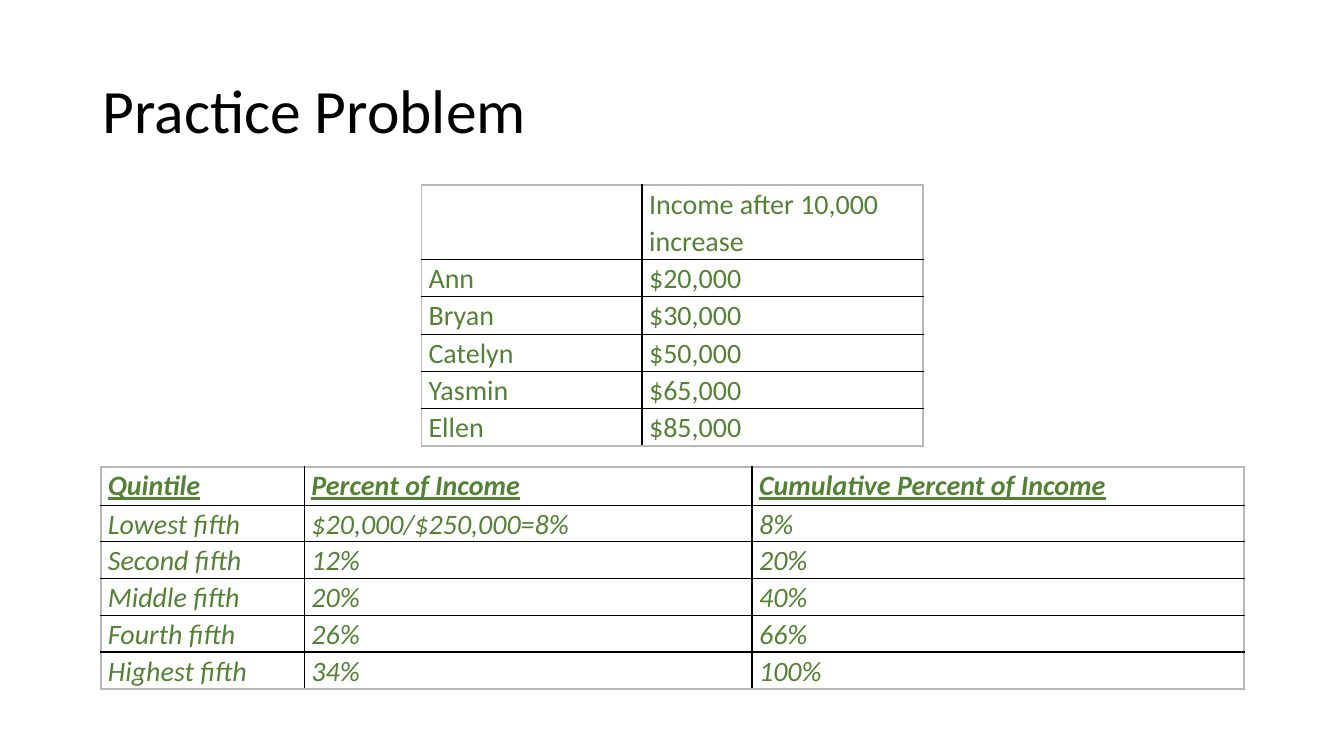
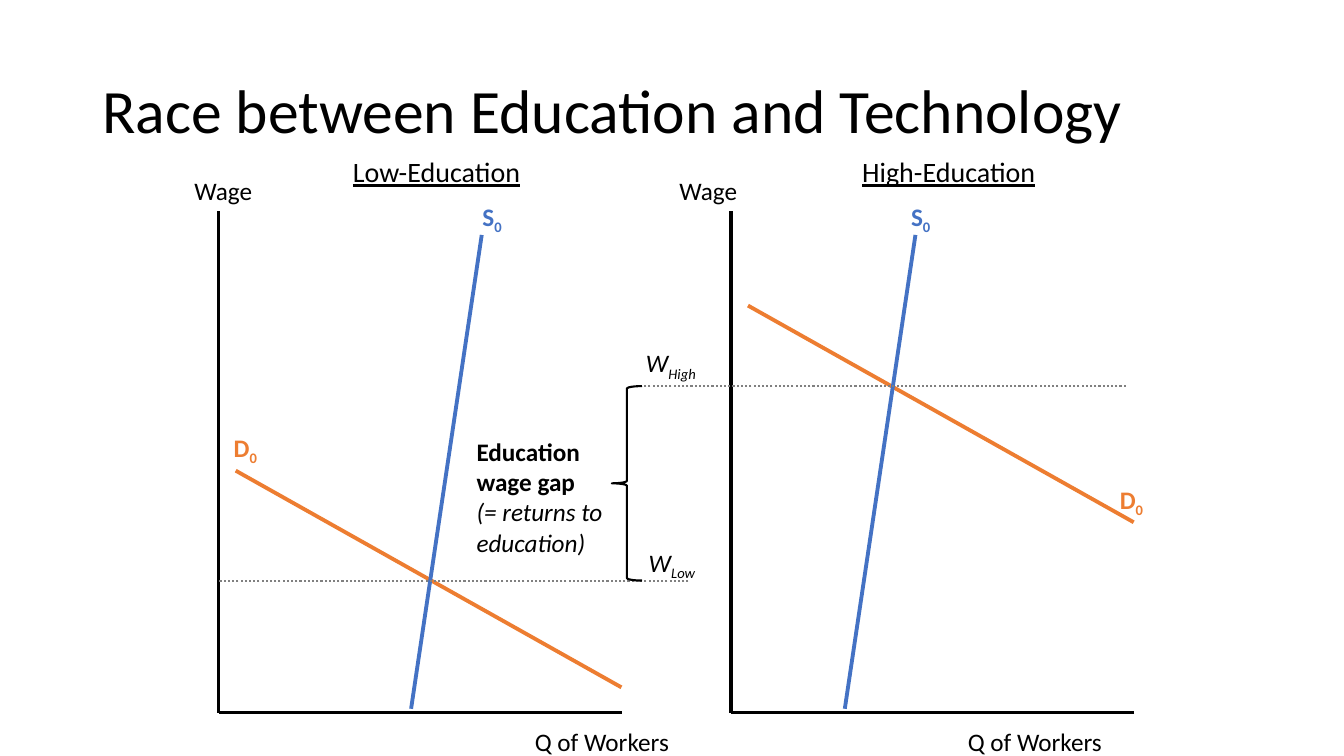
from lxml.etree import SubElement
from pptx import Presentation
from pptx.dml.color import RGBColor
from pptx.enum.dml import MSO_LINE
from pptx.enum.shapes import MSO_CONNECTOR, MSO_SHAPE
from pptx.enum.text import MSO_ANCHOR, MSO_AUTO_SIZE, PP_ALIGN
from pptx.oxml import parse_xml
from pptx.oxml.ns import nsdecls, qn
from pptx.util import Cm, Pt

BLACK = RGBColor(0x00, 0x00, 0x00)
GREEN = RGBColor(0x54, 0x82, 0x35)
ORANGE = RGBColor(0xED, 0x7D, 0x31)
BLUE = RGBColor(0x44, 0x72, 0xC4)
GRAY = RGBColor(0x80, 0x80, 0x80)
FRAME = RGBColor(0xB8, 0xB8, 0xB8)
FONT = "Calibri"
TITLE_ONLY = 5

INCOMES = [
    ("", "Income after 10,000 increase"),
    ("Ann", "$20,000"),
    ("Bryan", "$30,000"),
    ("Catelyn", "$50,000"),
    ("Yasmin", "$65,000"),
    ("Ellen", "$85,000"),
]
QUINTILES = [
    ("Quintile", "Percent of Income", "Cumulative Percent of Income"),
    ("Lowest fifth", "$20,000/$250,000=8%", "8%"),
    ("Second fifth", "12%", "20%"),
    ("Middle fifth", "20%", "40%"),
    ("Fourth fifth", "26%", "66%"),
    ("Highest fifth", "34%", "100%"),
]


def write(paragraph, text, size=18, color=BLACK, subscript="", bold=False,
          italic=False, underline=False, align=PP_ALIGN.LEFT, spacing=None):
    """Fill a paragraph with text and an optional subscript in one style."""
    font = paragraph.font
    font.name, font.size = FONT, Pt(size)
    font.bold, font.italic, font.underline = bold, italic, underline
    paragraph.alignment = align
    if spacing:
        paragraph.line_spacing = spacing
    for part in filter(None, (text, subscript)):
        run = paragraph.add_run()
        run.text = part
        run.font.color.rgb = color
    if subscript:
        run._r.get_or_add_rPr().set("baseline", "-25000")


def add_titled_slide(deck, title):
    """Add a slide with the shared title style."""
    slide = deck.slides.add_slide(deck.slide_layouts[TITLE_ONLY])
    heading = slide.shapes.title
    heading.left, heading.top = Cm(2.33), Cm(1.01)
    heading.width, heading.height = Cm(29.21), Cm(3.68)
    frame = heading.text_frame
    frame.word_wrap = True
    frame.auto_size = MSO_AUTO_SIZE.NONE
    frame.vertical_anchor = MSO_ANCHOR.MIDDLE
    write(frame.paragraphs[0], title, 44, spacing=0.9)
    return slide


def add_label(slide, left, top, width, text, height=1.02, **style):
    """Add a text box and return its frame."""
    box = slide.shapes.add_textbox(Cm(left), Cm(top), Cm(width), Cm(height))
    frame = box.text_frame
    frame.word_wrap = True
    write(frame.paragraphs[0], text, **style)
    return frame


def add_line(slide, start, end, color, width, dash=None):
    """Draw a straight line between two points."""
    line = slide.shapes.add_connector(
        MSO_CONNECTOR.STRAIGHT, *map(Cm, start), *map(Cm, end))
    line.line.color.rgb = color
    line.line.width = Pt(width)
    if dash:
        line.line.dash_style = dash
    SubElement(line._element.spPr, qn("a:effectLst"))


def set_borders(cell, outer_sides):
    """Draw cell edges, gray and thicker along the table frame."""
    for index, side in enumerate("LRTB"):
        color, width = (FRAME, 1.5) if side in outer_sides else (BLACK, 1)
        edge = parse_xml(
            f'<a:ln{side} {nsdecls("a")} w="{Pt(width)}"><a:solidFill>'
            f'<a:srgbClr val="{color}"/></a:solidFill></a:ln{side}>')
        cell._tc.get_or_add_tcPr().insert(index, edge)


def add_grid(slide, left, top, widths, heights, rows, header_style, body_style):
    """Add a bordered table of green text."""
    table = slide.shapes.add_table(
        len(rows), len(widths), Cm(left), Cm(top),
        Cm(sum(widths)), Cm(sum(heights))).table
    table.first_row = table.horz_banding = False
    for column, width in zip(table.columns, widths):
        column.width = Cm(width)
    for r, values in enumerate(rows):
        table.rows[r].height = Cm(heights[r])
        for c, value in enumerate(values):
            cell = table.cell(r, c)
            cell.margin_left = cell.margin_right = Cm(0.18)
            cell.margin_top = cell.margin_bottom = 0
            cell.fill.background()
            on_frame = {"L": c == 0, "R": c == len(widths) - 1,
                        "T": r == 0, "B": r == len(rows) - 1}
            set_borders(cell, [side for side, hit in on_frame.items() if hit])
            style = body_style if r else header_style
            write(cell.text_frame.paragraphs[0], value, 20, GREEN,
                  spacing=1.07, **style)


def add_market(slide, left, top, name, wage_x, quantity_x, demand_y,
               demand_label, supply_x, supply_label_x):
    """Draw one labor market, placed by the top of its wage axis."""
    width, height = 10.16, 12.64

    def at(x, y):
        return left + x, top + y

    add_line(slide, at(0, 0), at(0, height), BLACK, 2.5)
    add_line(slide, at(width, height), at(0, height), BLACK, 2.5)
    add_label(slide, *at(wage_x, -1.03), 2.54, "Wage")
    add_label(slide, *at(quantity_x, 12.87), 4.86, "Q of Workers")
    add_label(slide, *at(0.41, -1.54), width, name, 1.12, size=20,
              underline=True, align=PP_ALIGN.CENTER)
    add_line(slide, at(0.43, demand_y), at(10.15, demand_y + 5.46), ORANGE, 2.75)
    add_line(slide, at(supply_x, 12.54), at(supply_x + 1.78, 0.6), BLUE, 2.75)
    for letter, color, spot in (("D", ORANGE, demand_label),
                                ("S", BLUE, (supply_label_x, -0.37))):
        add_label(slide, *at(*spot), 1.2, letter, subscript="0",
                  color=color, bold=True)


def add_wage_gap(slide, left, top, height):
    """Draw the brace between both wage levels, with its labels."""
    bottom = top + height
    for start, end, level in ((17.35, 5.51, bottom), (28.37, 16.21, top)):
        add_line(slide, (start, level), (end, level), GRAY, 1.5,
                 MSO_LINE.ROUND_DOT)
    meaning = add_label(slide, left - 3.66, top + 1.14, 4.01,
                        "Education wage gap", 3.33, bold=True)
    write(meaning.add_paragraph(), "(= returns to education)", italic=True)
    brace = slide.shapes.add_shape(
        MSO_SHAPE.LEFT_BRACE, Cm(left), Cm(top), Cm(0.76), Cm(height))
    brace.shadow.inherit = False
    brace.fill.background()
    brace.line.color.rgb = BLACK
    brace.line.width = Pt(1.5)
    for level, x, y in (("High", 0.61, top - 1.09), ("Low", 0.68, bottom - 0.96)):
        add_label(slide, left + x, y, 2.54, "W", subscript=level, italic=True)


def build_practice(deck):
    """Build the slide of income tables."""
    slide = add_titled_slide(deck, "Practice Problem")
    add_grid(slide, 10.62, 4.67, [5.56, 7.09], [1.87] + [0.94] * 5, INCOMES,
             {}, {"align": PP_ALIGN.JUSTIFY})
    add_grid(slide, 2.54, 11.76, [5.13, 11.28, 12.4], [0.97] + [0.92] * 5,
             QUINTILES, {"bold": True, "italic": True, "underline": True},
             {"italic": True})


def build_race(deck):
    """Build the slide that compares two labor markets."""
    slide = add_titled_slide(deck, "Race between Education and Technology")
    add_market(slide, 5.51, 5.32, "Low-Education", wage_x=-0.86,
               quantity_x=7.72, demand_y=6.54, demand_label=(0.13, 5.45),
               supply_x=4.85, supply_label_x=6.4)
    add_market(slide, 18.42, 5.32, "High-Education", wage_x=-1.55,
               quantity_x=5.72, demand_y=2.38, demand_label=(9.55, 6.75),
               supply_x=2.87, supply_label_x=4.29)
    add_wage_gap(slide, 15.42, 9.73, 4.9)


def main():
    """Build and save the presentation."""
    deck = Presentation()
    deck.slide_width, deck.slide_height = Cm(33.87), Cm(19.05)
    build_practice(deck)
    build_race(deck)
    deck.save("out.pptx")


if __name__ == "__main__":
    main()
